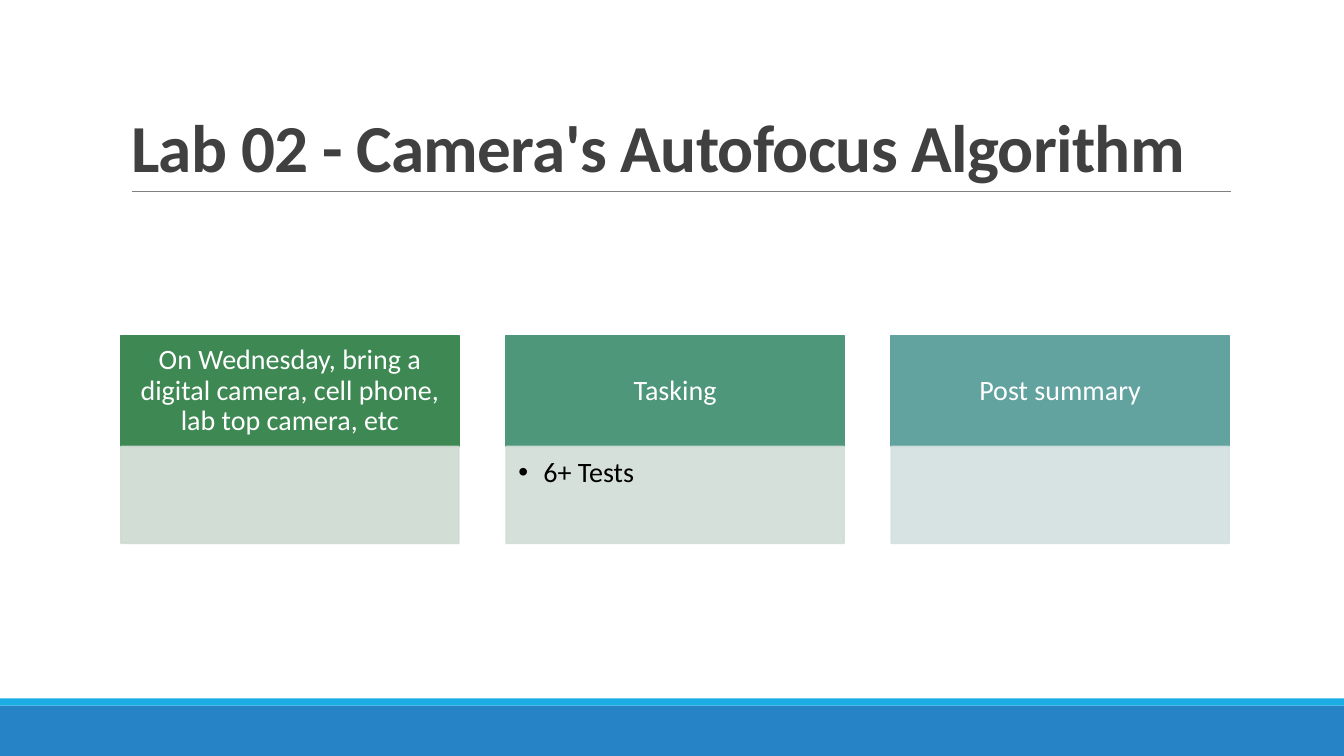
from pptx import Presentation
from pptx import util as u
from pptx.dml.color import RGBColor
from pptx.enum import shapes, text
from pptx.oxml import parse_xml
from pptx.oxml.ns import nsdecls, qn

CARDS = [
    ("On Wednesday, bring a digital camera, cell phone, lab top camera, etc",
     [], "3E8853", "CEDAD1"),
    ("Tasking", ["6+ Tests"], "4E977B", "D1DDD7"),
    ("Post summary", [], "62A39F", "D3E0DF"),
]


def rgb(value):
    return RGBColor.from_string(value)


def add_run(p, words, size, color, bold=False):
    r = p.add_run()
    r.text = words
    r.font.name = "Calibri"
    r.font.size = u.Pt(size)
    r.font.bold = bold
    r.font.color.rgb = rgb(color)
    return r


def set_insets(tf, left, top, right, bottom):
    tf.margin_left, tf.margin_top = u.Inches(left), u.Inches(top)
    tf.margin_right, tf.margin_bottom = u.Inches(right), u.Inches(bottom)


def add_rect(s, x, y, w, h, color, outlined=False, opacity=None):
    """Add a filled rectangle; opacity is a percentage for fill and outline."""
    sp = s.shapes.add_shape(shapes.MSO_SHAPE.RECTANGLE, u.Inches(x), u.Inches(y),
                            u.Inches(w), u.Inches(h))
    sp.shadow.inherit = False
    sp.fill.solid()
    sp.fill.fore_color.rgb = rgb(color)
    if outlined:
        sp.line.color.rgb = rgb(color)
        sp.line.width = u.Pt(1.25)
    else:
        sp.line.fill.background()
    if opacity is not None:
        for clr in sp._element.spPr.iter(qn("a:srgbClr")):
            clr.append(parse_xml(f'<a:alpha {nsdecls("a")} val="{opacity * 1000}"/>'))
    return sp


def add_footer_bands(s, x, y, w, h):
    stripe = 0.07
    add_rect(s, x, y + stripe, w, h - stripe, "2683C6")
    add_rect(s, x, y, w, stripe, "1CADE4")


def add_title(s, x, y, w, h):
    title = s.shapes.title
    title.left, title.top = u.Inches(x), u.Inches(y)
    title.width, title.height = u.Inches(w), u.Inches(h)
    tf = title.text_frame
    tf.word_wrap = True
    tf.auto_size = text.MSO_AUTO_SIZE.NONE
    tf.vertical_anchor = text.MSO_ANCHOR.BOTTOM
    p = tf.paragraphs[0]
    p.alignment = text.PP_ALIGN.LEFT
    p.line_spacing = 0.85
    r = add_run(p, "Lab 02 - Camera's Autofocus Algorithm", 48, "404040", bold=True)
    r.font._element.set("spc", "-50")

    rule = s.shapes.add_connector(
        shapes.MSO_CONNECTOR.STRAIGHT, u.Inches(x + 0.11), u.Inches(y + h),
        u.Inches(x + w + 0.01), u.Inches(y + h))
    rule.line.color.rgb = rgb("808080")
    rule.line.width = u.Pt(0.5)
    rule._element.spPr.append(parse_xml(f'<a:effectLst {nsdecls("a")}/>'))


def add_card(s, x, y, w, h, heading, items, head_color, body_color):
    head_h = 1.1
    head = add_rect(s, x, y, w, head_h, head_color, outlined=True)
    tf = head.text_frame
    tf.word_wrap = True
    tf.vertical_anchor = text.MSO_ANCHOR.MIDDLE
    set_insets(tf, 0.16, 0.09, 0.16, 0.09)
    p = tf.paragraphs[0]
    p.alignment = text.PP_ALIGN.CENTER
    p.line_spacing = 0.9
    add_run(p, heading, 20, "FFFFFF")

    body = add_rect(s, x, y + head_h, w, h - head_h, body_color,
                    outlined=True, opacity=90)
    tf = body.text_frame
    tf.word_wrap = True
    tf.vertical_anchor = text.MSO_ANCHOR.TOP
    set_insets(tf, 0.12, 0.12, 0.16, 0.17)
    for i, item in enumerate(items):
        p = tf.add_paragraph() if i else tf.paragraphs[0]
        p.level = 1
        p.alignment = text.PP_ALIGN.LEFT
        p.line_spacing = 0.9
        p.space_after = u.Pt(3)
        pPr = p._p.get_or_add_pPr()
        pPr.set("marL", str(u.Inches(0.25)))
        pPr.set("indent", str(-u.Inches(0.25)))
        pPr.append(parse_xml(f'<a:buFont {nsdecls("a")} typeface="Arial"/>'))
        pPr.append(parse_xml(f'<a:buChar {nsdecls("a")} char="•"/>'))
        add_run(p, item, 20, "000000")


def add_card_row(s, x, y, w, h):
    card_w = 3.35
    step = (w - card_w) / (len(CARDS) - 1)
    for i, card in enumerate(CARDS):
        add_card(s, x + i * step, y, card_w, h, *card)


def main():
    prs = Presentation()
    prs.slide_width, prs.slide_height = u.Inches(13.33), u.Inches(7.5)
    s = prs.slides.add_slide(prs.slide_layouts[5])
    s.background.fill.solid()
    s.background.fill.fore_color.rgb = rgb("FFFFFF")
    add_footer_bands(s, 0, 6.93, 13.33, 0.57)
    add_title(s, 1.2, 0.31, 11, 1.59)
    add_card_row(s, 1.2, 3.33, 10.99, 2.06)
    prs.save("out.pptx")


if __name__ == "__main__":
    main()
